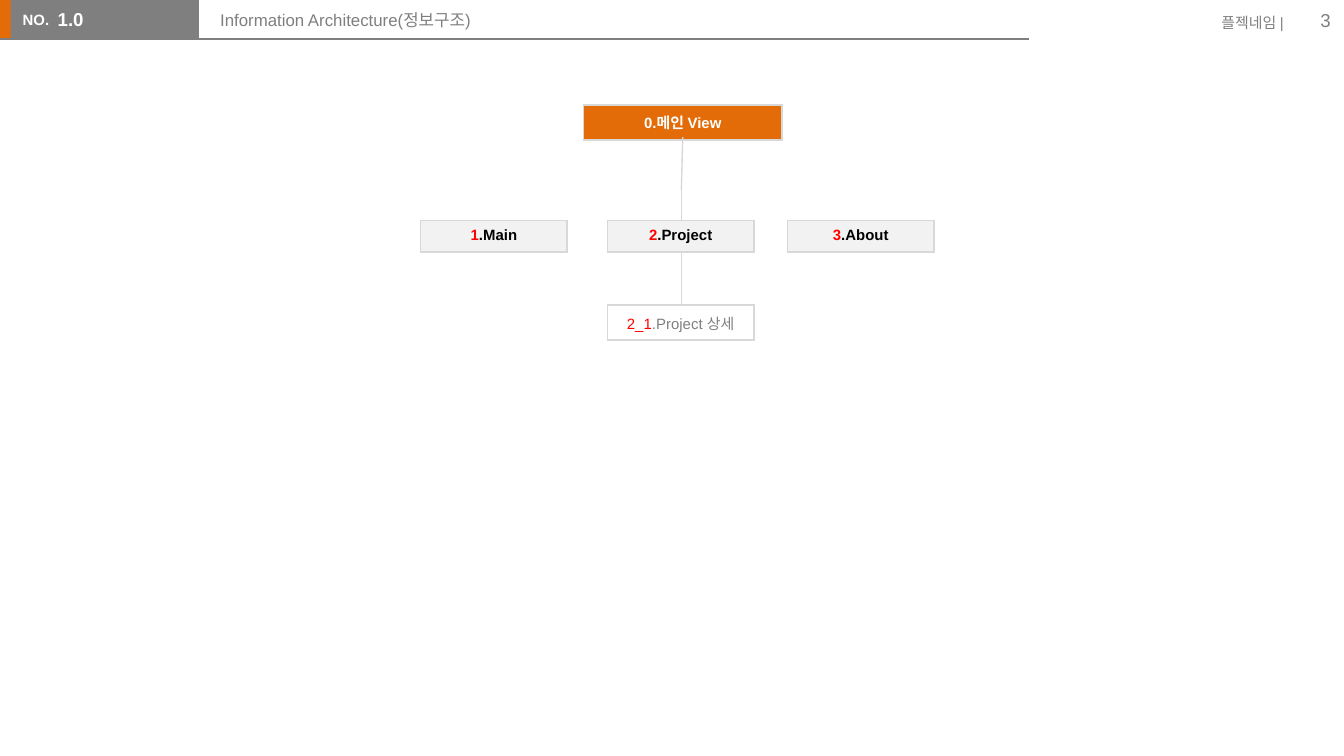
"""Build the information architecture slide with its header and sitemap."""
from dataclasses import dataclass

import lxml.etree
import pptx
import pptx.dml.color
import pptx.enum.shapes
import pptx.enum.text
import pptx.oxml
import pptx.oxml.ns
import pptx.slide
import pptx.text.text
import pptx.util

Inches = pptx.util.Inches
Align = pptx.enum.text.PP_ALIGN
Anchor = pptx.enum.text.MSO_ANCHOR


@dataclass(frozen=True)
class Theme:
    font: str = "Arial"
    accent: str = "E36C09"
    gray: str = "7F7F7F"
    border: str = "D8D8D8"
    pale: str = "F2F2F2"
    white: str = "FFFFFF"
    black: str = "000000"
    red: str = "FF0000"
    small: float = 8
    title: float = 9
    large: float = 10
    line: float = 0.75
    cell_line: float = 1


THEME = Theme()


@dataclass(frozen=True)
class Box:
    left: float
    top: float
    width: float
    height: float

    def emu(self) -> tuple:
        return tuple(Inches(v) for v in (self.left, self.top, self.width, self.height))


@dataclass(frozen=True)
class Label:
    text: str
    box: Box
    size: float
    color: str
    bold: bool = False
    align: Align = Align.LEFT
    anchor: Anchor = Anchor.TOP
    side_inset: float = 0.1


@dataclass(frozen=True)
class Page:
    number: str
    name: str
    box: Box
    fill: str
    number_color: str
    name_color: str
    bold: bool = True


@dataclass(frozen=True)
class Link:
    start: tuple[float, float]
    end: tuple[float, float]
    color: str


def rgb(color: str) -> pptx.dml.color.RGBColor:
    return pptx.dml.color.RGBColor.from_string(color)


def format_run(run: pptx.text.text._Run, size: float, color: str, bold: bool) -> None:
    run.font.name = THEME.font
    run.font.size = pptx.util.Pt(size)
    run.font.bold = bold
    run.font.color.rgb = rgb(color)


def draw_band(slide: pptx.slide.Slide, box: Box, color: str) -> None:
    band = slide.shapes.add_shape(pptx.enum.shapes.MSO_SHAPE.RECTANGLE, *box.emu())
    band.shadow.inherit = False
    band.fill.solid()
    band.fill.fore_color.rgb = rgb(color)
    band.line.fill.background()


def draw_label(slide: pptx.slide.Slide, label: Label) -> None:
    frame = slide.shapes.add_textbox(*label.box.emu()).text_frame
    frame.word_wrap = True
    frame.vertical_anchor = label.anchor
    frame.margin_left = frame.margin_right = Inches(label.side_inset)
    frame.text = label.text
    paragraph = frame.paragraphs[0]
    paragraph.alignment = label.align
    format_run(paragraph.runs[0], label.size, label.color, label.bold)


def draw_link(slide: pptx.slide.Slide, link: Link) -> None:
    connector = slide.shapes.add_connector(
        pptx.enum.shapes.MSO_CONNECTOR.STRAIGHT,
        *(Inches(v) for v in link.start + link.end),
    )
    connector.line.color.rgb = rgb(link.color)
    connector.line.width = pptx.util.Pt(THEME.line)
    lxml.etree.SubElement(connector._element.spPr, pptx.oxml.ns.qn("a:effectLst"))


def draw_page(slide: pptx.slide.Slide, page: Page) -> None:
    table = slide.shapes.add_table(1, 1, *page.box.emu()).table
    table.first_row = table.horz_banding = False
    cell = table.cell(0, 0)
    paragraph = cell.text_frame.paragraphs[0]
    paragraph.alignment = Align.CENTER
    for text, color in ((page.number, page.number_color), (page.name, page.name_color)):
        run = paragraph.add_run()
        run.text = text
        format_run(run, THEME.small, color, page.bold)
    properties = cell._tc.get_or_add_tcPr()
    for side in ("lnL", "lnR", "lnT", "lnB"):
        properties.append(pptx.oxml.parse_xml(
            f'<a:{side} {pptx.oxml.ns.nsdecls("a")} w="{pptx.util.Pt(THEME.cell_line)}">'
            f'<a:solidFill><a:srgbClr val="{THEME.border}"/></a:solidFill></a:{side}>'
        ))
    cell.fill.solid()
    cell.fill.fore_color.rgb = rgb(page.fill)


def main() -> None:
    deck = pptx.Presentation()
    deck.slide_width = Inches(10)
    deck.slide_height = deck.slide_width * 9 // 16
    slide = deck.slides.add_slide(deck.slide_layouts[6])

    draw_band(slide, Box(-0.01, 0, 0.12, 0.29), THEME.accent)
    draw_band(slide, Box(0.08, 0, 1.4, 0.29), THEME.gray)
    draw_link(slide, Link((0, 0.29), (7.66, 0.29), THEME.gray))

    header = (
        Label("NO.", Box(0.07, 0.03, 0.41, 0.24), THEME.small, THEME.white, bold=True),
        Label("플젝네임 |", Box(8.93, 0.05, 0.72, 0.24), THEME.small, THEME.gray,
              align=Align.RIGHT),
        Label("3", Box(9.4, 0, 0.6, 0.3), THEME.large, THEME.gray,
              align=Align.RIGHT, anchor=Anchor.MIDDLE),
        Label("Information Architecture(정보구조)", Box(1.54, 0.02, 5.42, 0.32),
              THEME.title, THEME.gray),
        Label("1.0", Box(0.43, 0.01, 1.1, 0.31), THEME.large, THEME.white,
              bold=True, side_inset=0),
    )
    for label in header:
        draw_label(slide, label)

    page_width, page_height, tall_height = 1.09, 0.23, 0.26
    menu_top, detail_top, project_left = 1.64, 2.27, 4.52
    draw_page(slide, Page("0.", "메인 View", Box(4.34, 0.78, 1.48, tall_height),
                          THEME.accent, THEME.white, THEME.white))
    menu = (("1", ".Main", 3.13), ("2", ".Project", project_left), ("3", ".About", 5.86))
    for number, name, left in menu:
        draw_page(slide, Page(number, name, Box(left, menu_top, page_width, page_height),
                              THEME.pale, THEME.red, THEME.black))

    trunk, bend = 5.07, 1.41
    for start, end in (
        ((5.08, 1.02), (trunk, bend)),
        ((trunk, bend), (trunk, menu_top)),
        ((trunk, menu_top + page_height), (trunk, detail_top)),
    ):
        draw_link(slide, Link(start, end, THEME.border))

    draw_page(slide, Page("2_1", ".Project 상세",
                          Box(project_left, detail_top, page_width, tall_height),
                          THEME.white, THEME.red, THEME.gray, bold=False))
    deck.save("out.pptx")


if __name__ == "__main__":
    main()
